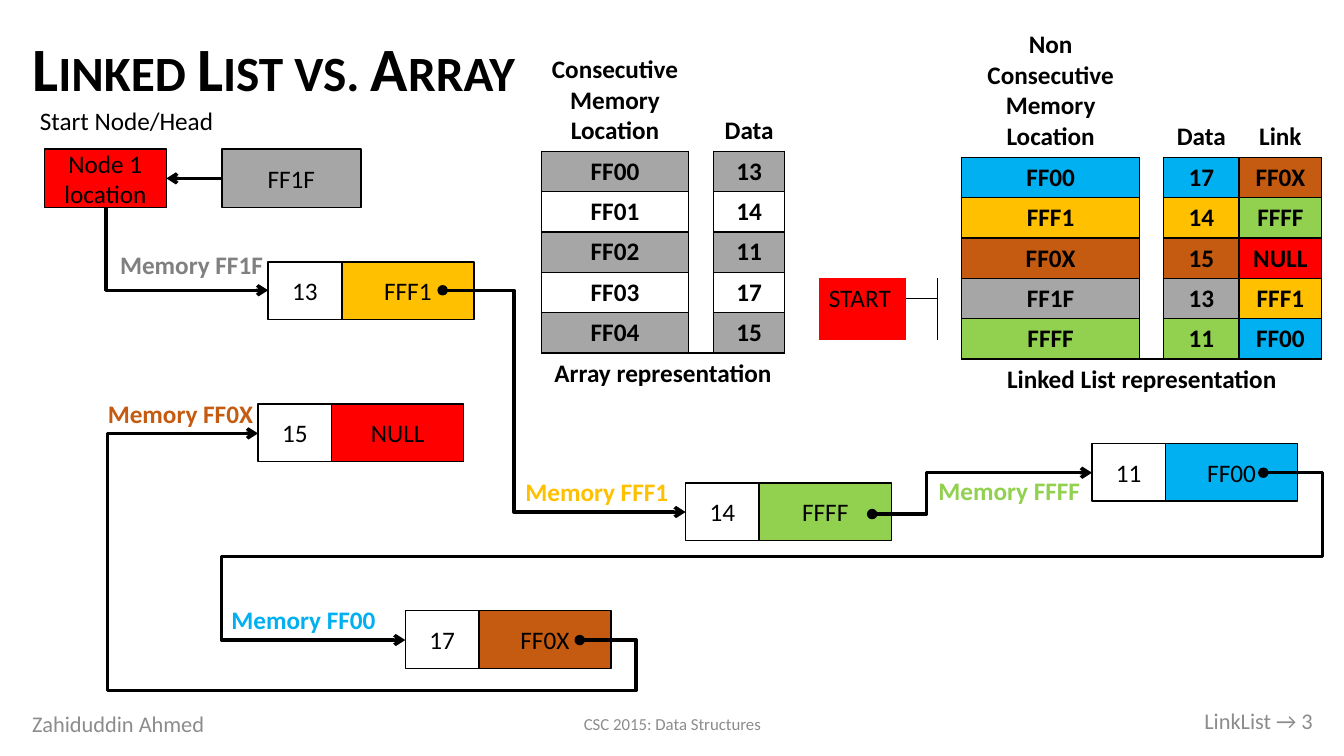
import pptx
import pptx.util
import pptx.dml.color
import pptx.enum.shapes
import pptx.enum.text
import pptx.oxml.ns
from lxml import etree

PX = 9144  # EMU in one px, at 100 px to the inch
FONT = "Calibri"
BLACK, WHITE, GREY, RED = "000000", "FFFFFF", "A6A6A6", "FF0000"
FOOTER_GREY, LABEL_GREY = "8C8C8C", "808080"
NO_GRID_STYLE = "{2D5ABB26-0587-4C30-8999-92F81FD0307C}"
ADDRESS_COLOURS = {"FF00": "00B0F0", "FFF1": "FFC000", "FF0X": "C55A11",
                   "FF1F": GREY, "FFFF": "92D050", "NULL": RED}
ALIGN = pptx.enum.text.PP_ALIGN
ANCHOR = pptx.enum.text.MSO_ANCHOR
qn = pptx.oxml.ns.qn

# Address, value, link, node position, label position
NODES = [
    ("FF1F", "13", "FFF1", (266, 260), (88, 240)),
    ("FF0X", "15", "NULL", (256, 401), (77, 388)),
    ("FF00", "17", "FF0X", (402, 606), (199, 593)),
    ("FFF1", "14", "FFFF", (680, 479), (490, 466)),
    ("FFFF", "11", "FF00", (1083, 440), (899, 465)),
]

# Start, end, preset, adjustments, mark at start, mark at end
LINKS = [
    ((266, 288), (105, 206), "bentConnector2", [], "arrow", None),
    ((1287, 469), (402, 635), "bentConnector5", [-2800, 50000, 120600], None, "arrow"),
    ((606, 635), (256, 430), "bentConnector5", [-7100, -24400, 142700], None, "arrow"),
    ((220, 177), (165, 177), "line", [], None, "arrow"),
    ((439, 288), (680, 508), "bentConnector3", [29300], "oval", "arrow"),
    ((865, 510), (1083, 469), "bentConnector3", [24800], "oval", "arrow"),
    ((1287, 469), (1253, 469), "line", [], None, "oval"),
    ((606, 635), (575, 635), "line", [], None, "oval"),
]


def emu(*lengths):
    return [pptx.util.Emu(length * PX) for length in lengths]


def colour(code):
    return pptx.dml.color.RGBColor.from_string(code)


def set_values(target, values):
    for name, value in values.items():
        setattr(target, name, value)


def set_fill(fill, code):
    if code:
        fill.solid()
        fill.fore_color.rgb = colour(code)
    else:
        fill.background()


def write(frame, text, size=18, code=BLACK, bold=False, align=ALIGN.CENTER):
    paragraph = frame.paragraphs[0]
    paragraph.alignment = align
    run = paragraph.add_run()
    run.text = text
    set_values(run.font, {"name": FONT, "size": pptx.util.Pt(size), "bold": bold})
    run.font.color.rgb = colour(code)
    return run


def add_label(slide, box, text, **style):
    frame = slide.shapes.add_textbox(*emu(*box)).text_frame
    set_values(frame, {"word_wrap": True, "vertical_anchor": ANCHOR.MIDDLE})
    write(frame, text, **style)


def add_box(slide, box, text, fill=None, outlined=True):
    shape = slide.shapes.add_shape(
        pptx.enum.shapes.MSO_SHAPE.RECTANGLE, *emu(*box))
    shape.shadow.inherit = False
    set_fill(shape.fill, fill)
    set_fill(shape.line.fill, BLACK if outlined else None)
    if outlined:
        shape.line.width = pptx.util.Pt(1)
    set_values(shape.text_frame,
               {"word_wrap": True, "vertical_anchor": ANCHOR.MIDDLE})
    write(shape.text_frame, text)


def add_node(slide, address, value, link, position, label_position):
    left, top = position
    add_box(slide, (left, top, 73, 57), value)
    add_box(slide, (left + 73, top, 131, 57), link, ADDRESS_COLOURS[link])
    label_colour = LABEL_GREY if address == "FF1F" else ADDRESS_COLOURS[address]
    add_label(slide, (*label_position, 204, 44), f"Memory {address}",
              code=label_colour, bold=True)


def add_link(slide, start, end, preset, adjustments, head, tail):
    connector = slide.shapes.add_connector(
        pptx.enum.shapes.MSO_CONNECTOR.STRAIGHT, *emu(*start, *end))
    connector.line.width = pptx.util.Pt(2.5)
    connector.line.color.rgb = colour(BLACK)
    properties = connector.element.spPr
    # Bends
    geometry = properties.find(qn("a:prstGeom"))
    geometry.set("prst", preset)
    guides = geometry.find(qn("a:avLst"))
    for number, value in enumerate(adjustments, 1):
        name = "adj" if preset == "line" else f"adj{number}"
        etree.SubElement(guides, qn("a:gd"), name=name, fmla=f"val {value}")
    # End marks
    line = properties.find(qn("a:ln"))
    for tag, mark in (("a:headEnd", head), ("a:tailEnd", tail)):
        if mark:
            etree.SubElement(line, qn(tag), type=mark)
    etree.SubElement(properties, qn("a:effectLst"))


def format_cell(cell, fill=None, borders=""):
    properties = cell._tc.get_or_add_tcPr()
    for side in "LRTB":
        if side in borders:
            line = etree.SubElement(properties, qn(f"a:ln{side}"), w="12700")
            solid = etree.SubElement(line, qn("a:solidFill"))
            etree.SubElement(solid, qn("a:srgbClr"), val=BLACK)
    set_fill(cell.fill, fill)


def new_table(slide, left, top, widths, heights):
    frame = slide.shapes.add_table(
        len(heights), len(widths), *emu(left, top, sum(widths), sum(heights)))
    table = frame.table
    set_values(table, {"first_row": False, "horz_banding": False})
    table._tbl.tblPr.find(qn("a:tableStyleId")).text = NO_GRID_STYLE
    for column, width in zip(table.columns, emu(*widths)):
        column.width = width
    for row, height in zip(table.rows, emu(*heights)):
        row.height = height
    return table


def add_memory_table(slide, left, top, widths, header_height, headers, rows, caption):
    """Each row holds (text, fill) pairs; column 1 is an empty gap."""
    table = new_table(slide, left, top, widths, [header_height] + [40] * 6)
    lines = [[(text, None) for text in headers], *rows]
    for row, line in enumerate(lines):
        for column, (text, fill) in enumerate(line):
            cell = table.cell(row, column)
            if not text:
                format_cell(cell, None, "LR" if row else "")
                continue
            format_cell(cell, fill, "LRTB" if row else "B")
            low = row == 0 and column > 0
            cell.vertical_anchor = ANCHOR.BOTTOM if low else ANCHOR.MIDDLE
            write(cell.text_frame, text, bold=True)
    # Caption across the last row
    last = len(lines)
    for column in range(len(widths)):
        format_cell(table.cell(last, column), None, "T")
    cell = table.cell(last, 0)
    cell.merge(table.cell(last, len(widths) - 1))
    cell.vertical_anchor = ANCHOR.MIDDLE
    write(cell.text_frame, caption, bold=True)


def add_start_pointer(slide):
    table = new_table(slide, 812, 276, [87, 31, 23], [20, 41])
    borders = [["", "RB", "L"], ["", "TR", "L"]]
    for row, sides in enumerate(borders):
        for column, side in enumerate(sides):
            cell = table.cell(row, column)
            format_cell(cell, None if column else RED, side)
            if column:
                set_values(cell, {"margin_top": 0, "margin_bottom": 0})
                etree.SubElement(cell.text_frame.paragraphs[0]._p,
                                 qn("a:endParaRPr"), sz="600")
    start = table.cell(0, 0)
    start.merge(table.cell(1, 0))
    write(start.text_frame, "START", align=ALIGN.LEFT)


def add_title(slide, text):
    title = slide.shapes.title
    set_values(title, dict(zip(("left", "top", "width", "height"),
                               emu(22, 24, 1290, 93))))
    set_values(title.text_frame, {
        "word_wrap": True, "vertical_anchor": ANCHOR.MIDDLE,
        "auto_size": pptx.enum.text.MSO_AUTO_SIZE.NONE})
    run = write(title.text_frame, text, 44, bold=True, align=ALIGN.LEFT)
    title.text_frame.paragraphs[0].line_spacing = 0.9
    run.font._element.set("cap", "small")


def main():
    presentation = pptx.Presentation()
    presentation.slide_width, presentation.slide_height = emu(1333, 750)
    slide = presentation.slides.add_slide(presentation.slide_layouts[5])

    # Title and footer
    add_title(slide, "Linked List vs. Array")
    add_label(slide, (22, 698, 300, 40), "Zahiduddin Ahmed",
              size=16, code=FOOTER_GREY, align=ALIGN.LEFT)
    add_label(slide, (442, 698, 450, 40), "CSC 2015: Data Structures",
              size=12, code=FOOTER_GREY)
    add_label(slide, (1012, 695, 300, 40), "LinkList → 3",
              size=16, code=FOOTER_GREY, align=ALIGN.RIGHT)

    # Memory tables
    array_rows = []
    for index, value in enumerate(["13", "14", "11", "17", "15"]):
        fill = None if index % 2 else GREY
        array_rows.append([(f"FF0{index}", fill), ("", None), (value, fill)])
    add_memory_table(slide, 537, 49, [146, 25, 70], 101,
                     ["Consecutive Memory Location", "", "Data"],
                     array_rows, "Array representation")
    list_rows = []
    for address, value, link in [("FF00", "17", "FF0X"), ("FFF1", "14", "FFFF"),
                                 ("FF0X", "15", "NULL"), ("FF1F", "13", "FFF1"),
                                 ("FFFF", "11", "FF00")]:
        fill = ADDRESS_COLOURS[address]
        list_rows.append([(address, fill), ("", None), (value, fill),
                          (link, ADDRESS_COLOURS[link])])
    add_memory_table(slide, 954, 24, [176, 23, 75, 82], 132,
                     ["Non Consecutive Memory Location", "", "Data", "Link"],
                     list_rows, "Linked List representation")
    add_start_pointer(slide)

    # Head of the list
    add_box(slide, (18, 101, 215, 37), "Start Node/Head", WHITE, outlined=False)
    add_box(slide, (44, 148, 121, 58), "Node 1 location", RED)
    add_box(slide, (220, 148, 138, 58), "FF1F", GREY)

    # Nodes and the links between them
    for node in NODES:
        add_node(slide, *node)
    for link in LINKS:
        add_link(slide, *link)

    presentation.save("out.pptx")


if __name__ == "__main__":
    main()
